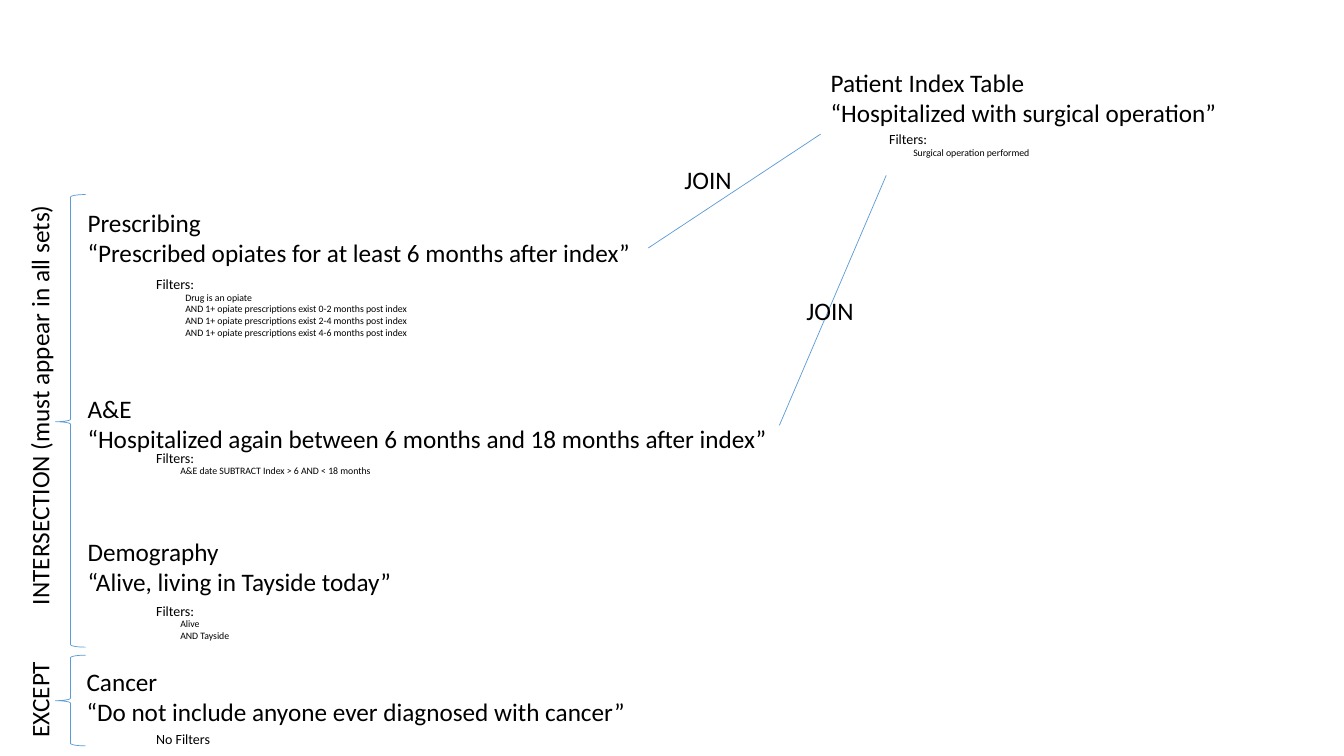
from pptx import Presentation
from pptx.dml.color import RGBColor
from pptx.enum import shapes as kinds, text as txt
from pptx.oxml.ns import qn
from pptx.util import Inches, Pt
from lxml import etree

COLORS = {"ink": "000000", "line": "5B9BD5"}
FONT = "Calibri"


def color(name):
    return RGBColor.from_string(COLORS[name])


def write(parts, box, lines, size, wrap=True, align=None, turn=0):
    area = parts.add_textbox(*map(Inches, box))
    area.rotation = turn
    frame = area.text_frame
    frame.word_wrap = wrap
    frame.auto_size = txt.MSO_AUTO_SIZE.SHAPE_TO_FIT_TEXT
    frame.text = "\n".join(lines)
    for para in frame.paragraphs:
        para.alignment = align
        para.font.size = Pt(size)
        para.font.name = FONT
        para.font.color.rgb = color("ink")


def query(parts, box, title, label, rules=(), shift=(0.68, 0.66), inset=(0.24, 0.15)):
    left, top, width = box
    write(parts, (left, top, width, 0.71), title, 18)
    left, top = left + shift[0], top + shift[1]
    write(parts, (left, top, 0.75 if label == "No Filters" else 0.59, 0.27),
          [label], 10, wrap=False)
    if rules:
        height = 0.1 + 0.118 * len(rules)
        write(parts, (left + inset[0], top + inset[1], 2.64, height), rules, 7)


def join(parts, start, end, spot):
    line = parts.add_connector(kinds.MSO_CONNECTOR.STRAIGHT, *map(Inches, start + end))
    line.line.color.rgb = color("line")
    line.line.width = Pt(0.5)
    etree.SubElement(line._element.spPr, qn("a:effectLst"))
    write(parts, spot + (0.91, 0.4), ["JOIN"], 18)


def bracket(parts, top, height, name, middle, length):
    brace = parts.add_shape(kinds.MSO_SHAPE.LEFT_BRACE,
                            *map(Inches, (0.55, top, 0.3, height)))
    brace.shadow.inherit = False
    brace.fill.background()
    brace.line.color.rgb = color("line")
    brace.line.width = Pt(0.5)
    brace.adjustments[0] = 0.083
    brace.adjustments[1] = 0.502
    write(parts, (0.39 - length / 2, middle - 0.2, length, 0.4), [name], 18,
          align=txt.PP_ALIGN.CENTER, turn=270)


def main():
    deck = Presentation()
    deck.slide_width, deck.slide_height = Inches(13.33), Inches(7.5)
    parts = deck.slides.add_slide(deck.slide_layouts[6]).shapes

    query(parts, (0.77, 2.01, 6.26),
          ["Prescribing", "“Prescribed opiates for at least 6 months after index”"],
          "Filters:",
          ["Drug is an opiate"]
          + [f"AND 1+ opiate prescriptions exist {span} months post index"
             for span in ("0-2", "2-4", "4-6")],
          shift=(0.68, 0.67), inset=(0.29, 0.16))
    query(parts, (0.77, 3.85, 7.03),
          ["A&E", "“Hospitalized again between 6 months and 18 months after index”"],
          "Filters:", ["A&E date SUBTRACT Index > 6 AND < 18 months"],
          shift=(0.68, 0.56))
    query(parts, (0.77, 5.27, 3.3),
          ["Demography", "“Alive, living in Tayside today”"],
          "Filters:", ["Alive", "AND Tayside"])
    query(parts, (0.76, 6.56, 5.61),
          ["Cancer", "“Do not include anyone ever diagnosed with cancer”"],
          "No Filters", shift=(0.69, 0.64))

    join(parts, (6.43, 2.46), (8.14, 1.33), (6.69, 1.58))
    join(parts, (7.73, 4.22), (8.79, 1.74), (7.9, 2.88))

    bracket(parts, 1.93, 4.49, "INTERSECTION (must appear in all sets)", 4.02, 4.8)
    bracket(parts, 6.5, 0.9, "EXCEPT", 6.94, 1.29)

    group = parts.add_group_shape().shapes
    query(group, (8.14, 0.62, 4.07),
          ["Patient Index Table", "“Hospitalized with surgical operation”"],
          "Filters:", ["Surgical operation performed"],
          shift=(0.58, 0.63), inset=(0.24, 0.16))

    deck.save("out.pptx")


if __name__ == "__main__":
    main()
